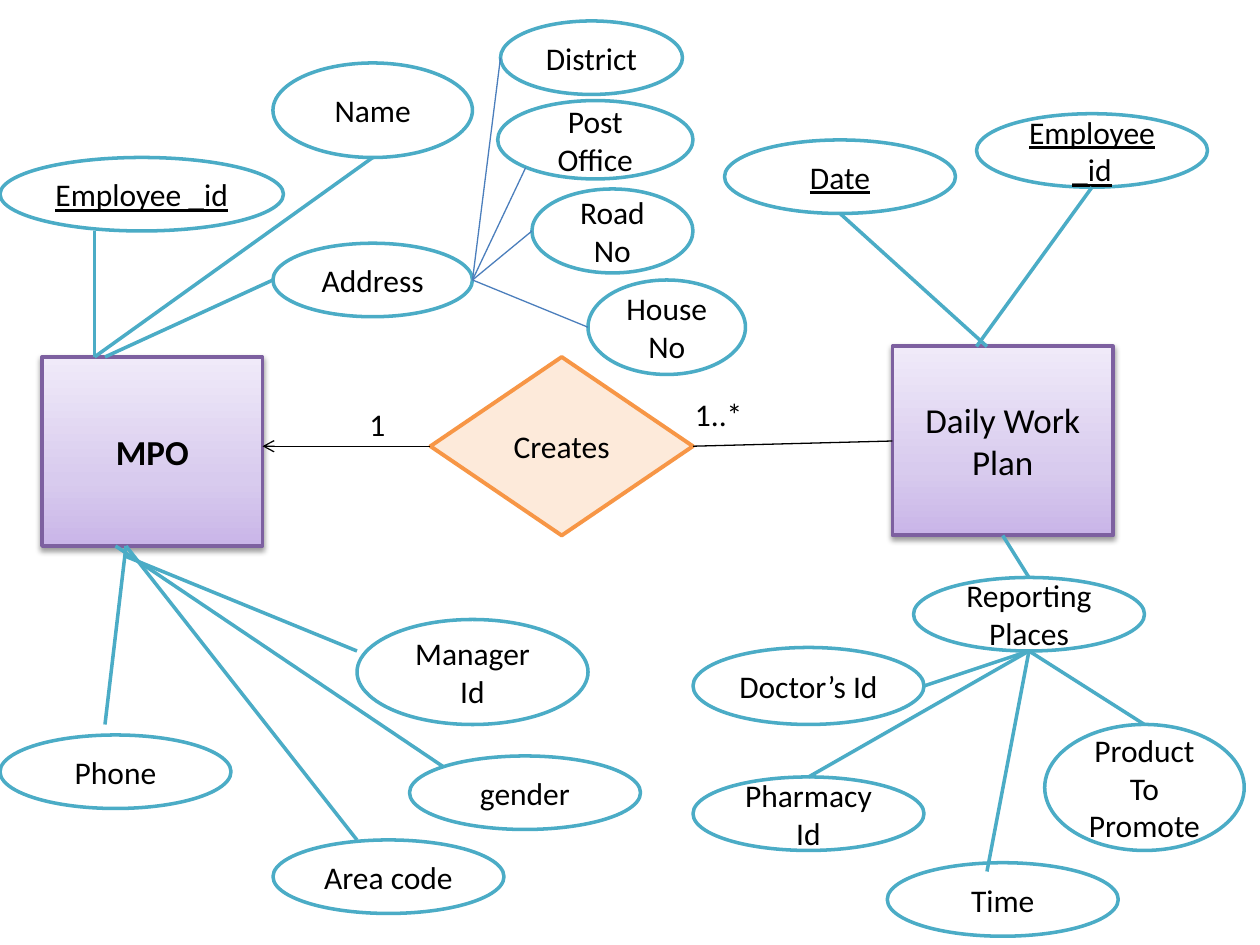
import copy
from dataclasses import dataclass

import pptx
import pptx.dml.color
import pptx.enum.dml
import pptx.enum.shapes
import pptx.enum.text
import pptx.oxml
import pptx.oxml.ns
import pptx.util

Pt = pptx.util.Pt
KIND = pptx.enum.shapes.MSO_SHAPE
NS = pptx.oxml.ns.nsdecls("a")
HUES = {"black": "000000", "white": "FFFFFF", "teal": "4BACC6", "blue": "4B7EBC",
        "plum": "7D60A0", "orange": "F79646", "peach": "FDEADA"}
STOPS = [(0, "C9B5E8"), (0.35, "D8CBEE"), (1, "F0EAF9")]


@dataclass
class Node:
    text: str
    left: float
    top: float
    width: float = 132
    height: float = 42
    under: bool = False


@dataclass
class Fan:
    hub: tuple[float, float]
    ends: list[tuple[float, float]]
    hue: str = "teal"
    weight: float = 2


OVALS = [
    Node("Name", 156, 36, 114, 54),
    Node("Employee _id", 0, 90, 162, under=True),
    Node("Address", 156, 139, 114),
    Node("District", 286, 12, 104),
    Node("Post Office", 284.4, 57.5, 111.6, 44.8),
    Node("Road No", 304, 108, 92, 48),
    Node("House No", 336, 160, 90, 54),
    Node("Date", 414, 80, under=True),
    Node("Employee_id", 558, 65, under=True),
    Node("Manager Id", 204, 354, height=60),
    Node("gender", 234, 432),
    Node("Phone", 0, 420),
    Node("Area code", 156, 480),
    Node("Reporting Places", 522, 330),
    Node("Doctor’s Id", 396, 370, height=44),
    Node("Pharmacy Id", 396, 444),
    Node("Product To Promote", 597, 414, 114, 72),
    Node("Time", 507, 493),
]
FANS = [
    Fan((54, 204), [(54, 132), (213, 90)]),
    Fan((60, 204), [(156, 160)]),
    Fan((72, 312), [(60, 414), (204, 480)]),
    Fan((66, 312), [(253.4, 438.2)]),
    Fan((72, 318), [(204, 372)]),
    Fan((558, 198), [(624, 107)]),
    Fan((564, 198), [(480, 122)]),
    Fan((573, 306), [(588, 330)]),
    Fan((588, 372), [(528, 392), (462, 444), (564, 498), (654, 414)]),
    Fan((270, 160), [(286, 33), (300.4, 95.8), (304, 132), (336, 187)], "blue", 0.75),
    Fan((510, 252), [(396, 255)], "black", 0.75),
]


def tint(name: str) -> pptx.dml.color.RGBColor:
    """Give the colour of a named hue."""
    return pptx.dml.color.RGBColor.from_string(HUES[name])


def write(shape, text: str, *, size: float = 18, bold: bool = False,
          under: bool = False, mid: bool = True) -> None:
    """Put formatted text into a shape."""
    frame = shape.text_frame
    frame.word_wrap = True
    para = frame.paragraphs[0]
    if mid:
        frame.vertical_anchor = pptx.enum.text.MSO_ANCHOR.MIDDLE
        para.alignment = pptx.enum.text.PP_ALIGN.CENTER
    run = para.add_run()
    run.text = text
    font = run.font
    font.name, font.size, font.bold, font.underline = "Calibri", Pt(size), bold, under
    font.color.rgb = tint("black")


def block(slide, kind, node: Node, fill: str, edge: str, weight: float):
    """Draw a filled and outlined shape without text."""
    shape = slide.shapes.add_shape(
        kind, Pt(node.left), Pt(node.top), Pt(node.width), Pt(node.height))
    shape.shadow.inherit = False
    shape.fill.solid()
    shape.fill.fore_color.rgb = tint(fill)
    shape.line.color.rgb = tint(edge)
    shape.line.width = Pt(weight)
    return shape


def entity(slide, node: Node, bold: bool = False) -> None:
    """Draw an entity box with a gradient and a soft shadow."""
    shape = block(slide, KIND.RECTANGLE, node, "white", "plum", 2.25)
    shape.fill.gradient()
    shape.fill.gradient_angle = 90
    props = shape.element.spPr
    stops = props.find(".//" + pptx.oxml.ns.qn("a:gsLst"))
    stops.append(copy.deepcopy(stops[-1]))
    for stop, (place, code) in zip(shape.fill.gradient_stops, STOPS):
        stop.position = place
        stop.color.rgb = pptx.dml.color.RGBColor.from_string(code)
    props.find(pptx.oxml.ns.qn("a:effectLst")).append(pptx.oxml.parse_xml(
        f'<a:outerShdw {NS} blurRad="{Pt(3.1)}" dist="{Pt(1.6)}" dir="5400000" rotWithShape="0">'
        f'<a:srgbClr val="{HUES["black"]}"><a:alpha val="38000"/></a:srgbClr></a:outerShdw>'))
    write(shape, node.text, size=20, bold=bold)


def link(slide, start: tuple[float, float], end: tuple[float, float],
         hue: str, weight: float, arrow: bool = False) -> None:
    """Draw a straight line, with an optional arrow at its end."""
    line = slide.shapes.add_connector(
        pptx.enum.shapes.MSO_CONNECTOR.STRAIGHT, *map(Pt, start + end))
    line.line.color.rgb = tint(hue)
    line.line.width = Pt(weight)
    if arrow:
        line.line._get_or_add_ln().append(
            pptx.oxml.parse_xml(f'<a:tailEnd {NS} type="arrow"/>'))
    line.element.spPr.append(pptx.oxml.parse_xml(f"<a:effectLst {NS}/>"))


def label(slide, text: str, left: float, top: float) -> None:
    """Write the count beside a relation line."""
    box = slide.shapes.add_textbox(Pt(left), Pt(top), Pt(48), Pt(29))
    write(box, text, mid=False)
    box.text_frame.auto_size = pptx.enum.text.MSO_AUTO_SIZE.SHAPE_TO_FIT_TEXT


def main() -> None:
    """Build the entity relation slide."""
    deck = pptx.Presentation()
    deck.slide_width, deck.slide_height = Pt(720), Pt(540)
    slide = deck.slides.add_slide(deck.slide_layouts[6])
    entity(slide, Node("MPO", 24, 204, 126, 108), bold=True)
    entity(slide, Node("Daily Work Plan", 510, 198, 126, 108))
    deed = Node("Creates", 246, 204, 150, 102)
    write(block(slide, KIND.FLOWCHART_DECISION, deed, "peach", "orange", 2.25), deed.text)
    for node in OVALS:
        oval = block(slide, KIND.OVAL, node, "white", "teal", 2)
        write(oval, node.text, under=node.under)
    for fan in FANS:
        for end in fan.ends:
            link(slide, fan.hub, end, fan.hue, fan.weight)
    link(slide, (246, 255), (150, 255), "black", 0.75, arrow=True)
    label(slide, "1", 204, 228)
    label(slide, "1..*", 390, 222)
    deck.save("out.pptx")


if __name__ == "__main__":
    main()
